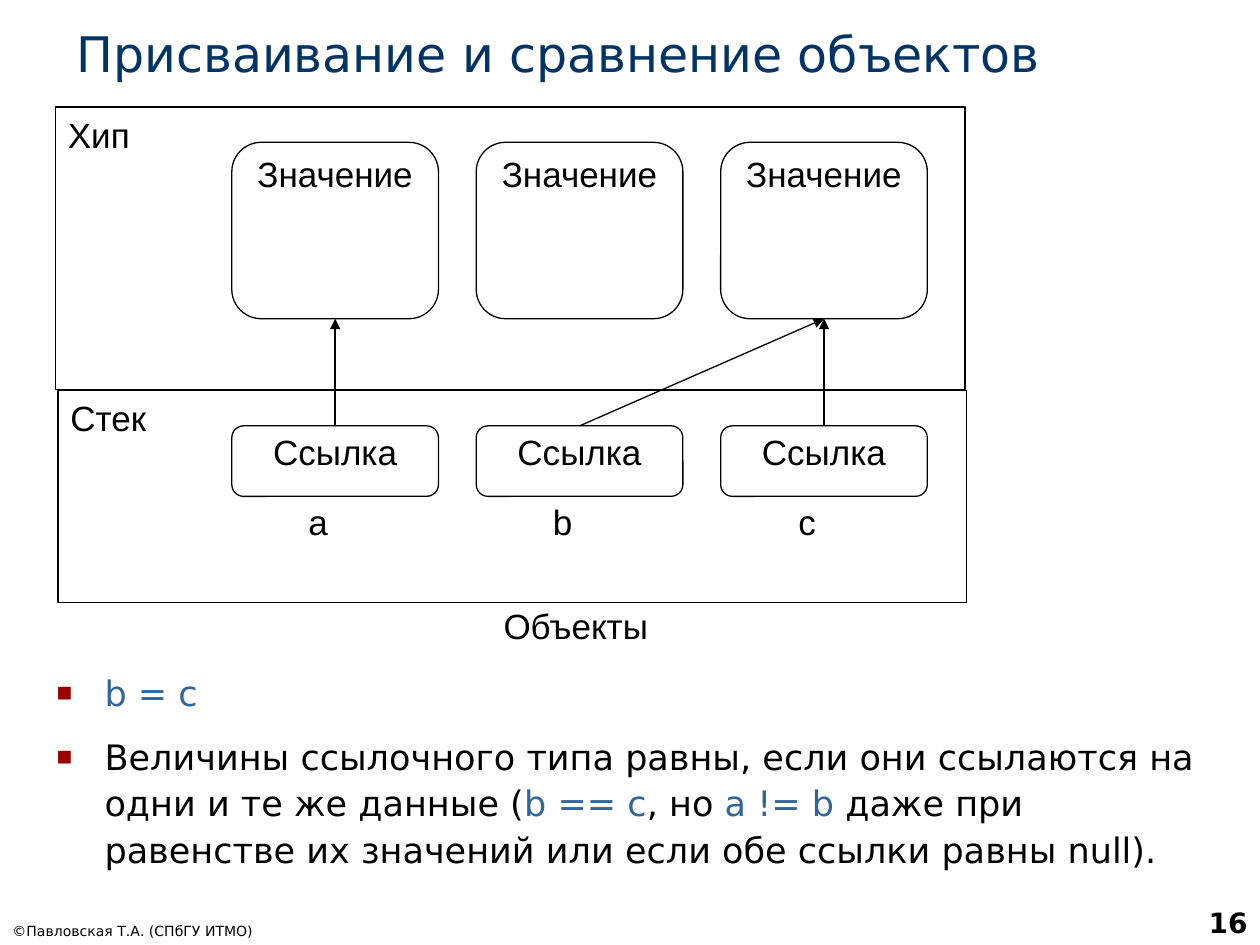
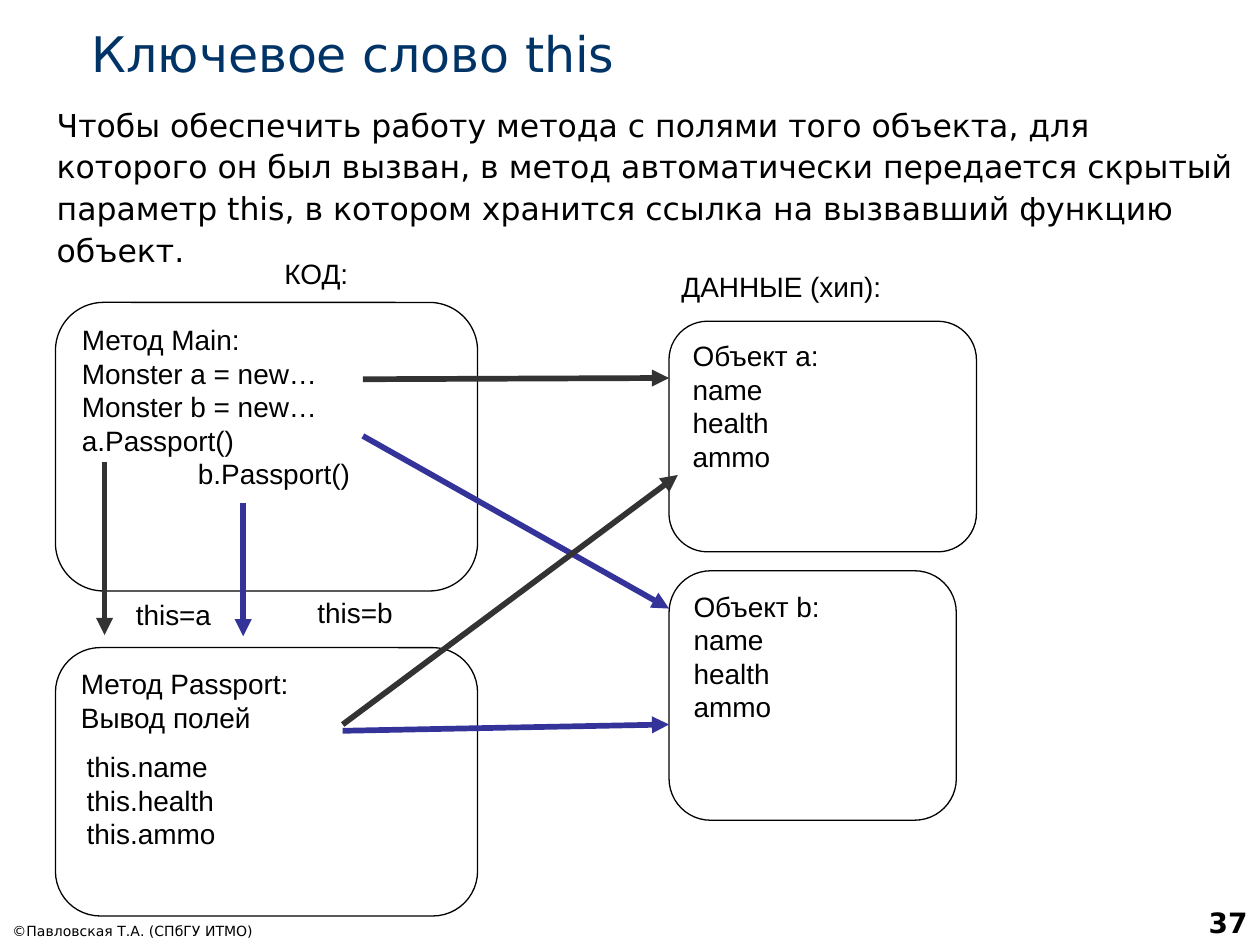
"""Build two slides on object references and the keyword this."""
from pptx import Presentation
from pptx import util as u
from pptx.dml.color import RGBColor
from pptx.enum import shapes, text
from pptx.oxml.xmlchemy import OxmlElement

rgb = RGBColor.from_string
BLACK, WHITE, NAVY, CODE, RED = "000000", "FFFFFF", "003366", "336699", "9A0000"
GREY, BLUE = "333333", "333399"
RECT, ROUND = shapes.MSO_SHAPE.RECTANGLE, shapes.MSO_SHAPE.ROUNDED_RECTANGLE
LEFT, CENTER, RIGHT = text.PP_ALIGN.LEFT, text.PP_ALIGN.CENTER, text.PP_ALIGN.RIGHT
TOP, BOTTOM = text.MSO_ANCHOR.TOP, text.MSO_ANCHOR.BOTTOM
SANS = "DejaVu Sans"


def put(s, at, paras, kind=None, ph=None, size=16, font="Arial", color=BLACK, bold=False,
        align=LEFT, anchor=TOP, inset=(0.1, 0.05), fill=None, line=None,
        spacing=None, gap=0, bullet=False):
    """Place a text box, a preset shape or placeholder number ph, and write its paragraphs."""
    x, y, w, h = map(u.Inches, at)
    if ph is not None:
        sp = s.placeholders[ph]
        for k, v in dict(left=x, top=y, width=w, height=h).items():
            setattr(sp, k, v)
    elif kind is None:
        sp = s.shapes.add_textbox(x, y, w, h)
    else:
        sp = s.shapes.add_shape(kind, x, y, w, h)
        sp.shadow.inherit = False
        if fill:
            sp.fill.solid()
            sp.fill.fore_color.rgb = rgb(fill)
        else:
            sp.fill.background()
        if line:
            sp.line.color.rgb = rgb(line)
            sp.line.width = u.Pt(0.75)
        else:
            sp.line.fill.background()

    tf = sp.text_frame
    dx, dy = map(u.Inches, inset)
    frame = dict(word_wrap=True, auto_size=text.MSO_AUTO_SIZE.NONE, vertical_anchor=anchor,
                 margin_left=dx, margin_right=dx, margin_top=dy, margin_bottom=dy)
    for k, v in frame.items():
        setattr(tf, k, v)

    for i, runs in enumerate(paras):
        p = tf.add_paragraph() if i else tf.paragraphs[0]
        pPr = p._p.get_or_add_pPr()
        indent = u.Inches(0.38) if bullet else 0
        pPr.set("marL", str(indent))
        pPr.set("indent", str(-indent))
        if bullet:
            clr = OxmlElement("a:buClr")
            for tag, parent, attr, val in (("a:srgbClr", clr, "val", RED),
                                           ("a:buSzPct", pPr, "val", "75000"),
                                           ("a:buChar", pPr, "char", "■")):
                el = OxmlElement(tag)
                el.set(attr, val)
                parent.append(el)
            pPr.insert(0, clr)
        else:
            pPr.append(OxmlElement("a:buNone"))
        para = dict(alignment=align, line_spacing=spacing,
                    space_before=u.Pt(gap if i else 0), space_after=u.Pt(gap))
        for k, v in para.items():
            setattr(p, k, v)
        for words, c in [(runs, color)] if isinstance(runs, str) else runs:
            r = p.add_run()
            r.text = words
            for k, v in dict(size=u.Pt(size), name=font, bold=bold).items():
                setattr(r.font, k, v)
            r.font.color.rgb = rgb(c)
    return sp


def arrow(s, start, end, color=BLACK, width=0.75):
    """Draw a straight arrow between two points."""
    cn = s.shapes.add_connector(shapes.MSO_CONNECTOR.STRAIGHT, *map(u.Inches, start + end))
    cn.line.color.rgb = rgb(color)
    cn.line.width = u.Pt(width)
    head = OxmlElement("a:tailEnd")
    head.set("type", "triangle")
    cn.line._get_or_add_ln().append(head)
    cn._element.spPr.append(OxmlElement("a:effectLst"))
    return cn


prs = Presentation()
prs.slide_width, prs.slide_height = u.Inches(10), u.Inches(7.5)

slides = []
for title, number, x in (("Присваивание и сравнение объектов", "16", 0.51),
                         ("Ключевое слово this", "37", 0.63)):
    s = prs.slides.add_slide(prs.slide_layouts[1])
    put(s, (x, 0.13, 9.37, 0.57), [title], ph=0, size=28, font=SANS, color=NAVY, anchor=BOTTOM)
    put(s, (0, 7.22, 3.11, 0.28), ["©Павловская Т.А. (СПбГУ ИТМО)"], size=8, font=SANS,
        anchor=BOTTOM)
    put(s, (7.92, 7, 2.08, 0.5), [number], size=16, font=SANS, bold=True, align=RIGHT,
        anchor=BOTTOM)
    slides.append(s)

s = slides[0]
put(s, (0.35, 5.25, 9.37, 1.89), [
    [("b = c", CODE)],
    [("Величины ссылочного типа равны, если они ссылаются на одни и те же данные (", BLACK),
     ("b == c", CODE), (", но ", BLACK), ("a != b", CODE),
     (" даже при равенстве их значений или если обе ссылки равны null).", BLACK)],
], ph=1, size=20, font=SANS, spacing=1.1, gap=5, bullet=True)
put(s, (0.44, 0.85, 7.22, 2.24), ["Хип"], RECT, size=20, line=BLACK)
put(s, (0.46, 3.1, 7.21, 1.68), ["Стек"], RECT, size=20, line=BLACK)

label = dict(size=20, align=CENTER, inset=(0.02, 0.01))
values, refs = [], []
for i, name in enumerate("аbc"):
    x = 1.84 + 1.94 * i
    values.append(put(s, (x, 1.13, 1.64, 1.4), ["Значение"], ROUND, fill=WHITE, line=BLACK,
                      **label))
    refs.append(put(s, (x, 3.38, 1.64, 0.56), ["Ссылка"], ROUND, fill=WHITE, line=BLACK,
                    **label))
    put(s, (x + 0.28, 3.96, 0.81, 0.56), [name], **label)
put(s, (3.33, 4.79, 2.48, 0.56), ["Объекты"], **label)
for ref, value in ((0, 0), (1, 2), (2, 2)):
    cn = arrow(s, (0, 0), (1, 1))
    cn.begin_connect(refs[ref], 0)
    cn.end_connect(values[value], 2)

s = slides[1]
put(s, (0.35, 0.76, 9.65, 1.5), [
    "Чтобы обеспечить работу метода с полями того объекта, для которого он был вызван, "
    "в метод автоматически передается скрытый параметр this, в котором хранится ссылка "
    "на вызвавший функцию объект."], ph=1, size=18, font=SANS, spacing=1.1, gap=4.5)

fields = ["name", "health", "ammo"]
for at, lines in (
        ((0.44, 2.4, 3.35, 2.29), ["Метод Main:", "Monster a = new…", "Monster b = new…",
                                   "a.Passport()", "               b.Passport()"]),
        ((0.44, 5.14, 3.35, 2.13), ["Метод Passport:", "Вывод полей"]),
        ((5.31, 2.55, 2.44, 1.83), ["Объект a:"] + fields),
        ((5.31, 4.53, 2.28, 1.98), ["Объект b:"] + fields)):
    put(s, at, lines, ROUND, fill=WHITE, line=BLACK)

for at, lines in (((2.16, 1.99, 1.27, 0.4), ["КОД:"]),
                  ((5.31, 2.09, 2.44, 0.46), ["ДАННЫЕ (хип):"]),
                  ((0.98, 4.69, 1.07, 0.45), ["this=a"]),
                  ((2.42, 4.68, 1.22, 0.45), ["this=b"]),
                  ((0.59, 5.9, 1.83, 1.22), ["this." + f for f in fields])):
    put(s, at, lines)

for start, end, color in (((2.88, 3.01), (5.31, 3), GREY),
                          ((2.88, 3.46), (5.31, 4.83), BLUE),
                          ((0.83, 3.67), (0.83, 5.04), GREY),
                          ((1.93, 3.99), (1.93, 5.05), BLUE),
                          ((2.72, 5.8), (5.31, 5.75), BLUE),
                          ((2.72, 5.75), (5.38, 3.77), GREY)):
    arrow(s, start, end, color, 3.25)

prs.save("out.pptx")
